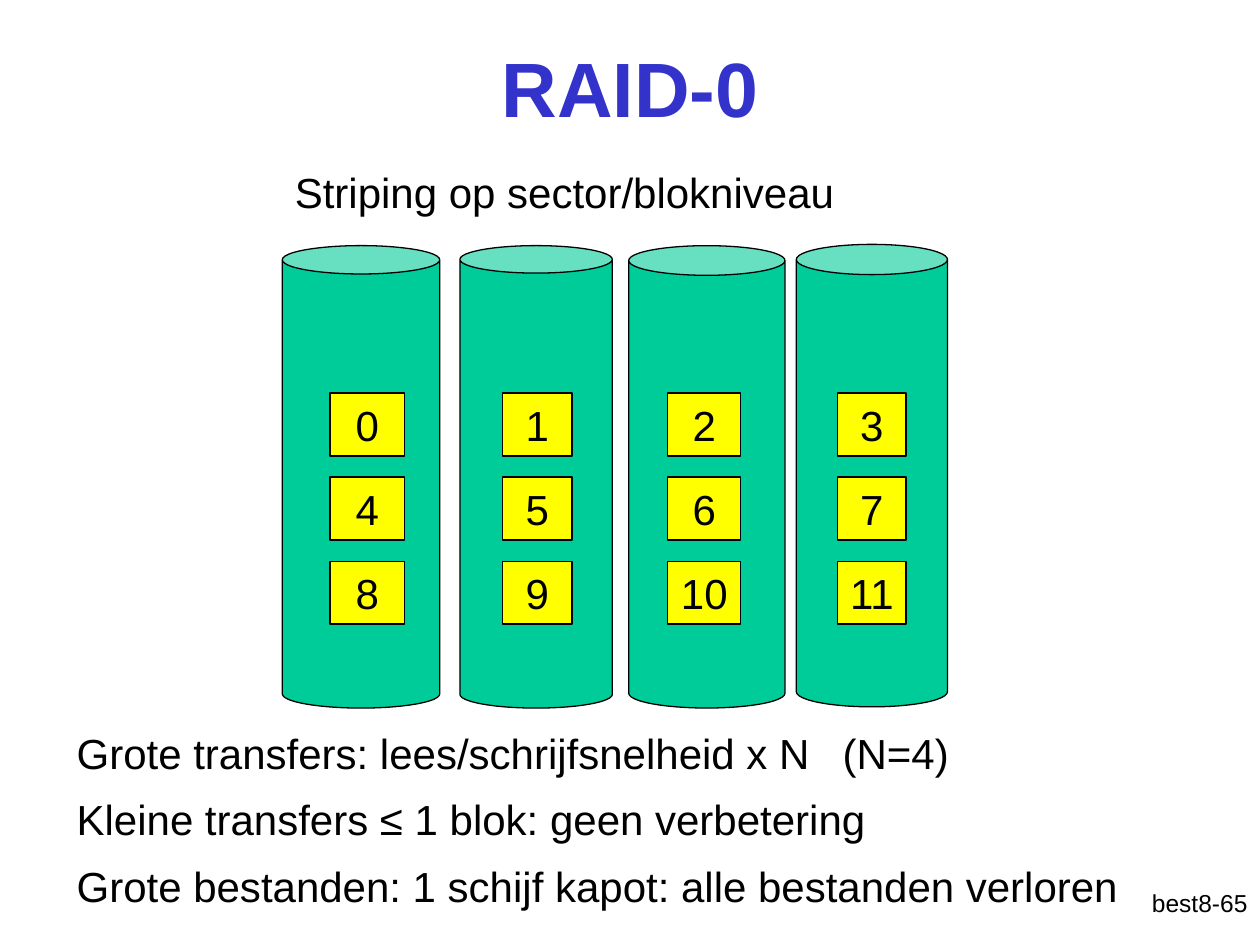
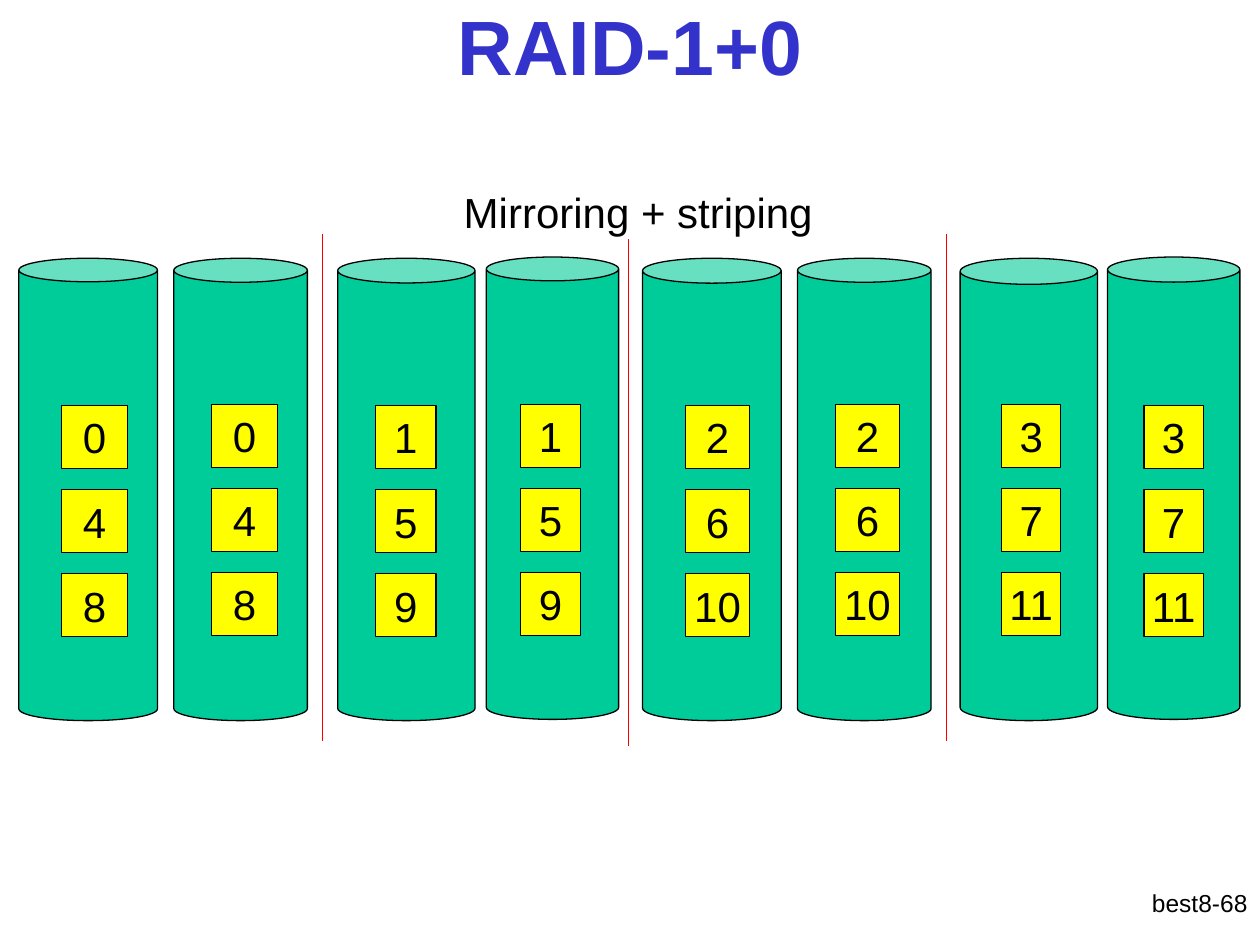
from lxml.etree import SubElement
from pptx import Presentation
from pptx.dml.color import RGBColor
from pptx.enum.shapes import MSO_CONNECTOR as Link, MSO_SHAPE as Shape
from pptx.enum.text import MSO_ANCHOR as Anchor, MSO_AUTO_SIZE as Fit, PP_ALIGN as Align
from pptx.oxml.ns import qn
from pptx.util import Inches, Pt

BLUE = RGBColor(0x33, 0x33, 0xCC)
GREEN = RGBColor(0x00, 0xCC, 0x99)
YELLOW = RGBColor(0xFF, 0xFF, 0x00)
RED = RGBColor(0xFF, 0x00, 0x00)
BLACK = RGBColor(0x00, 0x00, 0x00)

COLS, ROWS = 100, 75
STRIPE = 4  # data disks in one stripe
TITLE = {"size": Pt(44), "bold": True}
BODY = {"size": Pt(24), "bold": False}
SMALL = {"size": Pt(14), "bold": False}
PLAIN = {"margin_left": Inches(0.1), "margin_right": Inches(0.1),
         "margin_top": Inches(0.05), "margin_bottom": Inches(0.05),
         "word_wrap": True, "auto_size": Fit.NONE, "vertical_anchor": Anchor.TOP}
MIDDLE = PLAIN | {"vertical_anchor": Anchor.MIDDLE}
LABEL = MIDDLE | {"word_wrap": False}
LEAD = PLAIN | {"margin_left": Inches(0.09), "margin_top": Inches(0.09)}
NOTE = PLAIN | {"auto_size": Fit.SHAPE_TO_FIT_TEXT}


def apply(item, values):
    for name, value in values.items():
        setattr(item, name, value)


class Deck:
    """Style and current slide; lengths are columns and rows of the grid."""

    def __init__(self):
        self.show = Presentation()
        apply(self.show, {"slide_width": Inches(10), "slide_height": Inches(7.5)})
        self.col = self.show.slide_width / COLS
        self.row = self.show.slide_height / ROWS

    def area(self, left, top, width, height):
        return (round(left * self.col), round(top * self.row),
                round(width * self.col), round(height * self.row))

    def place(self, item, *area):
        apply(item, dict(zip(("left", "top", "width", "height"), self.area(*area))))

    def words(self, item, lines, font, frame=PLAIN, align=Align.LEFT, color=BLACK):
        text = item.text_frame
        apply(text, frame)
        text.text = "\n".join(lines)
        for para in text.paragraphs:
            para.alignment = align
            apply(para.font, font | {"name": "Arial"})
            para.font.color.rgb = color
        return text.paragraphs

    def start(self, title, title_area, lead, lead_area, page):
        self.slide = self.show.slides.add_slide(self.show.slide_layouts[1])
        head, body = self.slide.placeholders
        self.place(head, *title_area)
        self.words(head, [title], TITLE, MIDDLE, Align.CENTER, BLUE)
        self.place(body, *lead_area)
        para = self.words(body, [lead], BODY, LEAD)[0]
        para.space_before = Pt(0)
        props = para._p.get_or_add_pPr()
        indent = Inches(0.38)
        props.set("marL", str(indent))
        props.set("indent", str(-indent))
        props.insert_element_before(
            props.makeelement(qn("a:buNone"), {}), "a:tabLst", "a:defRPr")
        foot = self.slide.shapes.add_textbox(*self.area(79.2, 70, 20.8, 5))
        self.words(foot, [page], SMALL, align=Align.RIGHT)

    def shape(self, kind, fill, *area):
        item = self.slide.shapes.add_shape(kind, *self.area(*area))
        item.shadow.inherit = False
        item.fill.solid()
        item.fill.fore_color.rgb = fill
        item.line.color.rgb = BLACK
        item.line.width = Pt(0.75)
        return item

    def disk(self, left, top, width, curve):
        can = self.shape(Shape.CAN, GREEN, left, top, width, 36.7)
        can.adjustments[0] = curve

    def blocks(self, left, top, width, first):
        """Stack the three blocks of a disk, one per stripe."""
        for level in range(3):
            item = self.shape(Shape.RECTANGLE, YELLOW,
                              left, top + level * 6.67, width, 5)
            self.words(item, [str(first + level * STRIPE)], BODY, LABEL, Align.CENTER)

    def rule(self, left, top):
        x, y, _, drop = self.area(left, top, 0, 40.2)
        line = self.slide.shapes.add_connector(Link.STRAIGHT, x, y, x, y + drop)
        line.line.color.rgb = RED
        line.line.width = Pt(0.75)
        SubElement(line._element.spPr, qn("a:effectLst"))

    def note(self, lines, tab, *area):
        item = self.slide.shapes.add_textbox(*self.area(*area))
        for index, para in enumerate(self.words(item, lines, BODY, NOTE)):
            para.line_spacing = 0.8
            para.space_before = Pt(15 if index else 0)
            props = para._p.get_or_add_pPr()
            tabs = props.makeelement(qn("a:tabLst"), {})
            SubElement(tabs, qn("a:tab"), pos=str(round(tab * self.col)), algn="l")
            props.insert_element_before(tabs, "a:defRPr")


def striping(deck):
    deck.start("RAID-0", (7.5, 0.6, 85, 12.5),
               "Striping op sector/blokniveau", (22.5, 12.3, 59.8, 45), "best8-65")
    # disk left, top, width, curve; block left, width
    disks = [(22.4, 19.5, 12.5, 0.18, 26.2, 5.9),
             (36.5, 19.5, 12.1, 0.18, 39.9, 5.5),
             (49.9, 19.5, 12.4, 0.19, 53, 5.8),
             (63.2, 19.4, 12, 0.2, 66.5, 5.4)]
    for first, (*can, left, width) in enumerate(disks):
        deck.disk(*can)
        deck.blocks(left, 31.2, width, first)
    deck.note(["Grote transfers: lees/schrijfsnelheid x N\t(N=4)",
               "Kleine transfers ≤ 1 blok: geen verbetering",
               "Grote bestanden: 1 schijf kapot: alle bestanden verloren"],
              60.8, 5.1, 58, 94.9, 14.8)


def mirror(deck):
    deck.start("RAID-1+0", (7.5, 1.3, 85, 4.5),
               "Mirroring + striping", (35.9, 13.9, 38.6, 6.3), "best8-68")
    # disk left, top, width, curve; block left, top, width
    disks = [(1.5, 20.5, 11, 0.17, 4.9, 32.2, 5.2),
             (13.8, 20.5, 10.6, 0.18, 16.8, 32.1, 5.2),
             (26.8, 20.5, 10.9, 0.18, 29.8, 32.2, 4.8),
             (38.6, 20.4, 10.5, 0.18, 41.3, 32.1, 4.8),
             (51, 20.5, 11, 0.18, 54.4, 32.2, 5.1),
             (63.3, 20.5, 10.6, 0.18, 66.3, 32.1, 5.1),
             (76.2, 20.5, 10.9, 0.19, 79.5, 32.1, 4.7),
             (87.9, 20.4, 10.5, 0.19, 90.8, 32.2, 4.7)]
    for index, (*can, left, top, width) in enumerate(disks):
        deck.disk(*can)
        deck.blocks(left, top, width, index // 2)
    for left, top in ((25.6, 18.6), (49.9, 19), (75.1, 18.6)):
        deck.rule(left, top)


def main():
    deck = Deck()
    striping(deck)
    mirror(deck)
    deck.show.save("out.pptx")


if __name__ == "__main__":
    main()
